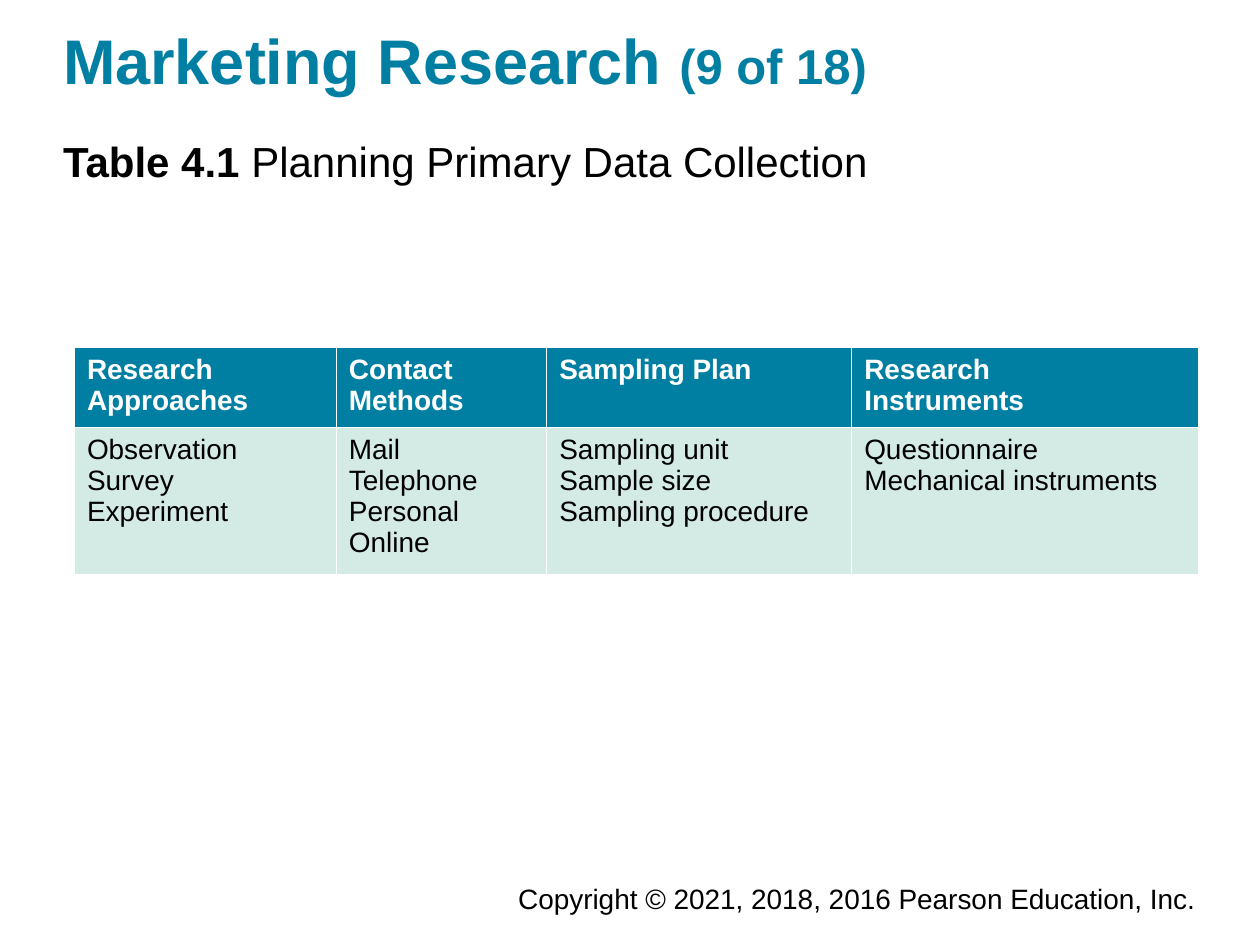
from dataclasses import dataclass

from lxml import etree
from pptx import Presentation
from pptx.dml.color import RGBColor
from pptx.enum.text import MSO_ANCHOR, PP_ALIGN
from pptx.oxml.ns import qn
from pptx.util import Cm, Pt

BOTTOM, TOP = MSO_ANCHOR.BOTTOM, MSO_ANCHOR.TOP
LEFT, RIGHT = PP_ALIGN.LEFT, PP_ALIGN.RIGHT
FONT = "Arial"
COLORS = {"teal": "007FA3", "mint": "D4EAE4", "black": "000000", "white": "FFFFFF"}


@dataclass
class Segment:
    text: str
    size: float
    color: str = "black"
    bold: bool = False


@dataclass
class Column:
    width: float
    heading: str
    entries: str


COLUMNS = [
    Column(5.28, "Research Approaches", "Observation\nSurvey\nExperiment"),
    Column(4.24, "Contact\nMethods", "Mail\nTelephone\nPersonal\nOnline"),
    Column(6.15, "Sampling Plan", "Sampling unit\nSample size\nSampling procedure"),
    Column(6.99, "Research\nInstruments", "Questionnaire\nMechanical instruments"),
]
ROW_HEIGHTS = [1.61, 2.96]


def style_run(run, size: float, color: str, bold: bool) -> None:
    run.font.name = FONT
    run.font.size = Pt(size)
    run.font.bold = bold
    run.font.color.rgb = RGBColor.from_string(COLORS[color])


def place(shape, left: float, top: float, width: float, height: float) -> None:
    shape.left, shape.top = Cm(left), Cm(top)
    shape.width, shape.height = Cm(width), Cm(height)


def write_line(shape, segments: list[Segment], align=LEFT, anchor=TOP) -> None:
    """Fill a margin-free shape with one unbulleted paragraph."""
    frame = shape.text_frame
    frame.word_wrap = True
    frame.vertical_anchor = anchor
    frame.margin_left = frame.margin_right = frame.margin_top = frame.margin_bottom = 0
    paragraph = frame.paragraphs[0]
    properties = paragraph._p.get_or_add_pPr()
    properties.set("marL", "0")
    properties.set("indent", "0")
    etree.SubElement(properties, qn("a:buNone"))
    paragraph.alignment = align
    paragraph.space_before = Pt(0)
    for segment in segments:
        run = paragraph.add_run()
        run.text = segment.text
        style_run(run, segment.size, segment.color, segment.bold)


def fill_cell(cell, text: str, fill: str, color: str, bold: bool) -> None:
    cell.fill.solid()
    cell.fill.fore_color.rgb = RGBColor.from_string(COLORS[fill])
    cell.text_frame.text = text
    for paragraph in cell.text_frame.paragraphs:
        for run in paragraph.runs:
            style_run(run, 16, color, bold)


def add_planning_table(slide, left: float, top: float) -> None:
    width = sum(column.width for column in COLUMNS)
    table = slide.shapes.add_table(
        len(ROW_HEIGHTS), len(COLUMNS), Cm(left), Cm(top), Cm(width), Cm(sum(ROW_HEIGHTS))
    ).table
    for row, height in zip(table.rows, ROW_HEIGHTS):
        row.height = Cm(height)
    for index, column in enumerate(COLUMNS):
        table.columns[index].width = Cm(column.width)
        fill_cell(table.cell(0, index), column.heading, "teal", "white", True)
        fill_cell(table.cell(1, index), column.entries, "mint", "black", False)


def main() -> None:
    presentation = Presentation()
    presentation.slide_width, presentation.slide_height = Cm(25.4), Cm(19.05)
    slide = presentation.slides.add_slide(presentation.slide_layouts[1])

    title = slide.shapes.title
    place(title, 1.27, 0.53, 22.86, 1.42)
    write_line(
        title,
        [Segment("Marketing Research ", 36, "teal", True), Segment("(9 of 18)", 28, "teal", True)],
        anchor=BOTTOM,
    )

    caption = slide.placeholders[1]
    place(caption, 1.27, 2.74, 22.25, 1.27)
    write_line(
        caption,
        [Segment("Table 4.1 ", 24, bold=True), Segment("Planning Primary Data Collection", 24)],
    )

    add_planning_table(slide, 1.5, 7.01)

    copyright_line = slide.shapes.add_textbox(Cm(9.93), Cm(17.78), Cm(14.17), Cm(0.69))
    write_line(
        copyright_line,
        [Segment("Copyright © 2021, 2018, 2016 Pearson Education, Inc.", 16)],
        align=RIGHT,
    )
    presentation.save("out.pptx")


if __name__ == "__main__":
    main()
